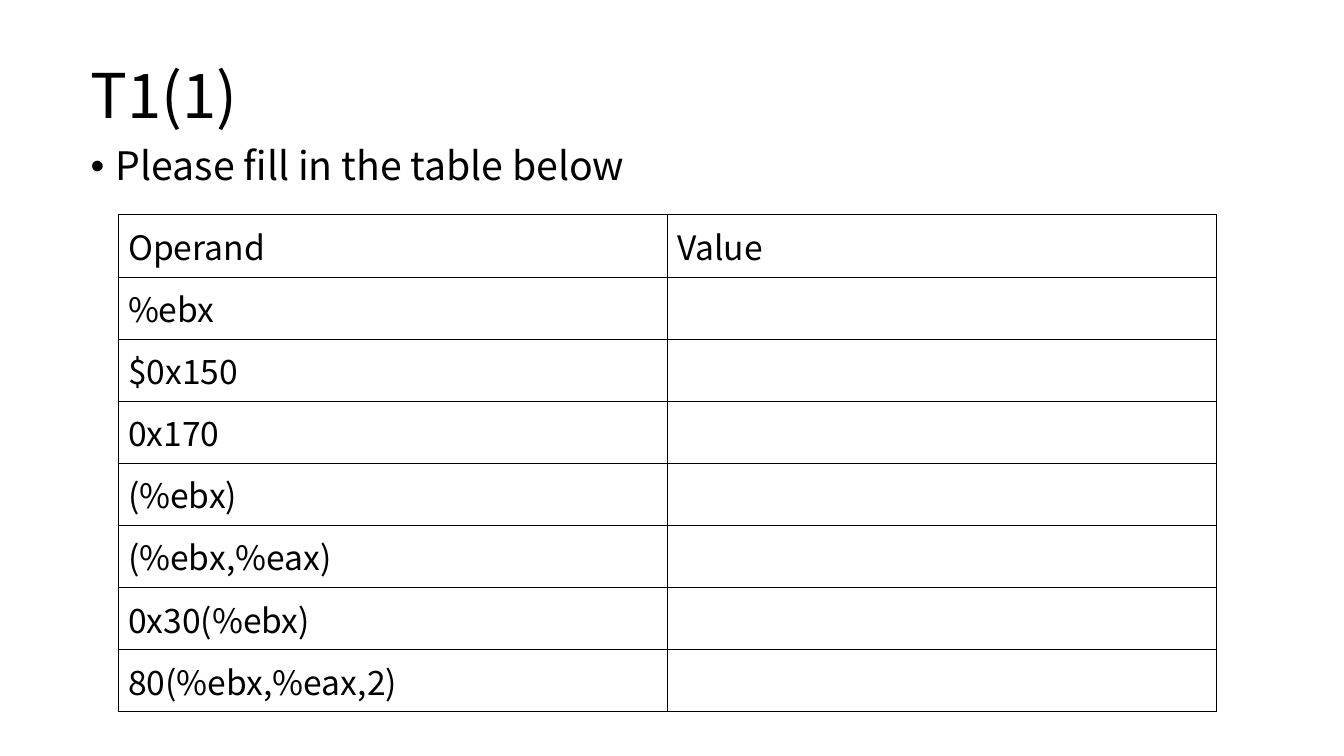
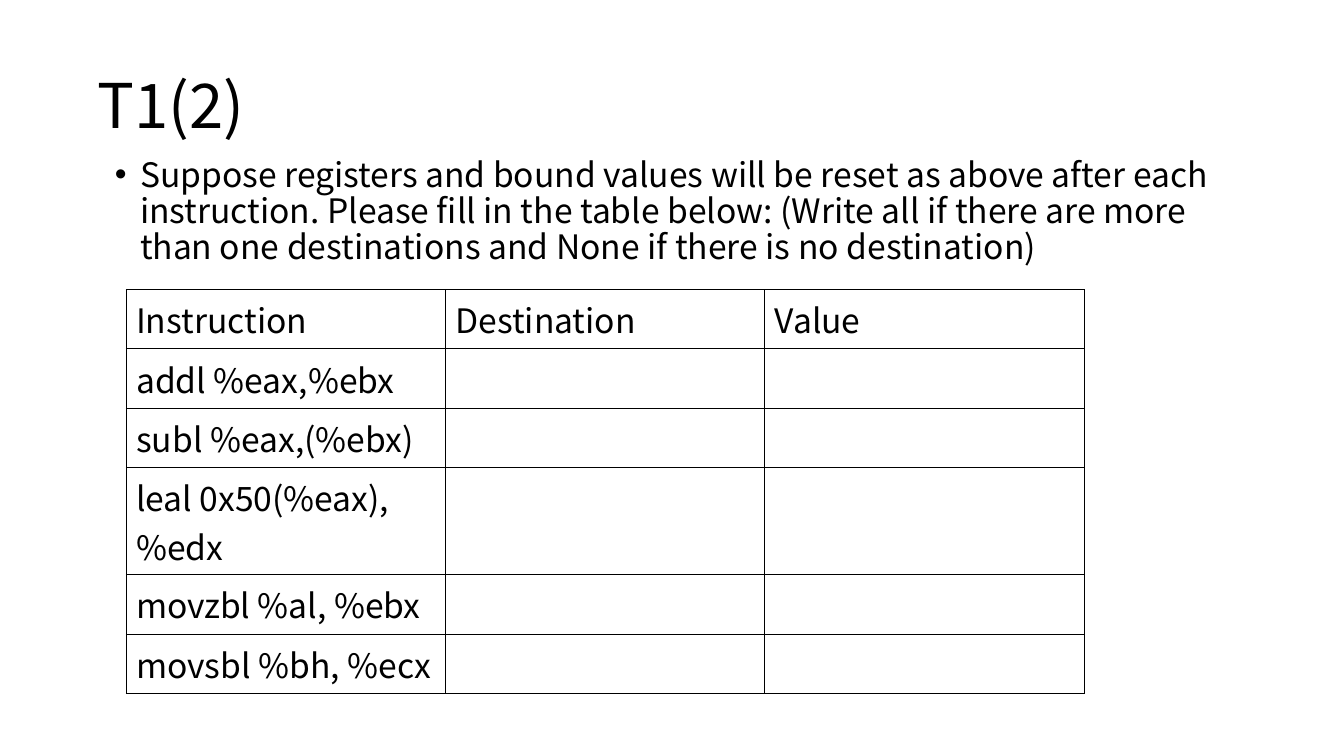
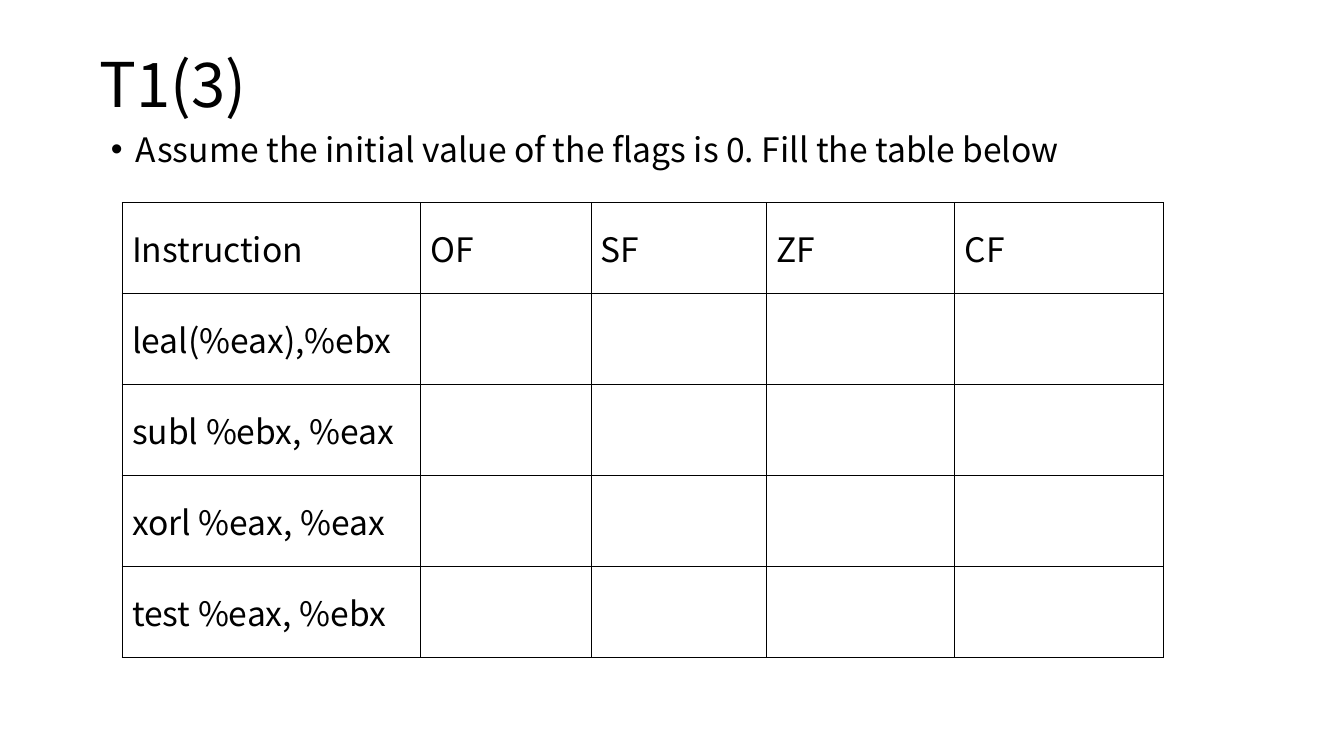
from dataclasses import dataclass

from lxml.etree import SubElement
from pptx import Presentation
from pptx.dml.color import RGBColor
from pptx.enum.text import MSO_ANCHOR as Anchor
from pptx.oxml.ns import qn
from pptx.util import Inches, Pt


@dataclass(frozen=True)
class Theme:
    font: str = "Noto Sans CJK SC"
    ink: str = "000000"
    paper: str = "FFFFFF"
    title_size: int = 44
    table_size: int = 24
    line_spacing: float = 0.9
    border: float = 0.48
    hanging: float = 0.25


THEME = Theme()

# Boxes are left, top, width, height in inches.
# Columns and rows are relative shares of the table's size.
SLIDES = [
    {
        "title": "T1(1)",
        "title_box": (0.8, 0.34, 11.29, 1.28),
        "prompt": "Please fill in the table below",
        "prompt_box": (0.8, 1.41, 11.61, 5.34),
        "prompt_format": {"size": 28, "indent": 0.25, "before": 10},
        "table_box": (1.17, 2.13, 10.89, 4.93),
        "columns": [1] * 2,
        "rows": [1] * 8,
        "header": ["Operand", "Value"],
        "questions": ["%ebx", "$0x150", "0x170", "(%ebx)", "(%ebx,%eax)",
                      "0x30(%ebx)", "80(%ebx,%eax,2)"],
    },
    {
        "title": "T1(2)",
        "title_box": (0.87, 0.44, 11.21, 1.27),
        "prompt": "Suppose registers and bound values will be reset as above "
                  "after each instruction. Please fill in the table below: "
                  "(Write all if there are more than one destinations and "
                  "None if there is no destination)",
        "prompt_box": (0.54, 1.52, 11.88, 5.23),
        "prompt_format": {"size": 24, "indent": 0.75, "before": 5},
        "table_box": (1.25, 2.87, 9.5, 4.01),
        "columns": [1] * 3,
        "rows": [1, 1, 1, 1.8, 1, 1],
        "header": ["Instruction", "Destination", "Value"],
        "questions": ["addl %eax,%ebx", "subl %eax,(%ebx)",
                      "leal 0x50(%eax), %edx", "movzbl %al, %ebx",
                      "movsbl %bh, %ecx"],
    },
    {
        "title": "T1(3)",
        "title_box": (0.89, 0.31, 11.38, 1.12),
        "prompt": "Assume the initial value of the flags is 0. "
                  "Fill the table below",
        "prompt_box": (0.5, 1.27, 11.92, 5.48),
        "prompt_format": {"size": 24, "indent": 0.75, "before": 5},
        "table_box": (1.21, 2.01, 10.33, 4.51),
        "columns": [2.96, 1.69, 1.74, 1.87, 2.07],
        "rows": [1] * 5,
        "header": ["Instruction", "OF", "SF", "ZF", "CF"],
        "questions": ["leal(%eax),%ebx", "subl %ebx, %eax",
                      "xorl %eax, %eax", "test %eax, %ebx"],
    },
]


def write(frame, text, size, spacing=None, before=None, indent=None):
    """Fill a text frame with one paragraph; an indent makes it a bullet."""
    para = frame.paragraphs[0]
    if spacing:
        para.line_spacing = spacing
    if before:
        para.space_before = Pt(before)
    if indent:
        properties = para._p.get_or_add_pPr()
        properties.set("marL", str(Inches(indent)))
        properties.set("indent", str(-Inches(THEME.hanging)))
        SubElement(properties, qn("a:buFont"), typeface="Arial")
        SubElement(properties, qn("a:buChar"), char="•")
    span = para.add_run()
    span.text = text
    span.font.size = Pt(size)
    span.font.name = THEME.font
    span.font.color.rgb = RGBColor.from_string(THEME.ink)


def add_text(page, box, text, anchor=Anchor.TOP, **text_format):
    frame = page.shapes.add_textbox(*map(Inches, box)).text_frame
    frame.word_wrap = True
    frame.vertical_anchor = anchor
    write(frame, text, spacing=THEME.line_spacing, **text_format)


def outline(cell):
    properties = cell._tc.get_or_add_tcPr()
    for side in ("lnL", "lnR", "lnT", "lnB"):
        line = SubElement(properties, qn(f"a:{side}"),
                          w=str(Pt(THEME.border)))
        fill = SubElement(line, qn("a:solidFill"))
        SubElement(fill, qn("a:srgbClr"), val=THEME.ink)


def share(total, weights):
    return [Inches(total * weight / sum(weights)) for weight in weights]


def add_answer_table(page, box, columns, rows, header, questions):
    """Draw a grid with a header, questions at left and empty answers."""
    table = page.shapes.add_table(len(rows), len(columns),
                                  *map(Inches, box)).table
    table.first_row = table.horz_banding = False
    for column, width in zip(table.columns, share(box[2], columns)):
        column.width = width
    for row, height in zip(table.rows, share(box[3], rows)):
        row.height = height
    for cell in table.iter_cells():
        outline(cell)
        cell.fill.background()
        cell.vertical_anchor = Anchor.MIDDLE
    labels = [((0, index), text) for index, text in enumerate(header)]
    labels += [((index, 0), text) for index, text in enumerate(questions, 1)]
    for position, text in labels:
        write(table.cell(*position).text_frame, text, size=THEME.table_size)


def main():
    deck = Presentation()
    deck.slide_width, deck.slide_height = Inches(13.33), Inches(7.5)
    background = deck.slide_master.background.fill
    background.solid()
    background.fore_color.rgb = RGBColor.from_string(THEME.paper)
    for content in SLIDES:
        page = deck.slides.add_slide(deck.slide_layouts[6])
        add_text(page, content["title_box"], content["title"],
                 anchor=Anchor.MIDDLE, size=THEME.title_size)
        add_text(page, content["prompt_box"], content["prompt"],
                 **content["prompt_format"])
        add_answer_table(page, content["table_box"], content["columns"],
                         content["rows"], content["header"],
                         content["questions"])
    deck.save("out.pptx")


if __name__ == "__main__":
    main()
